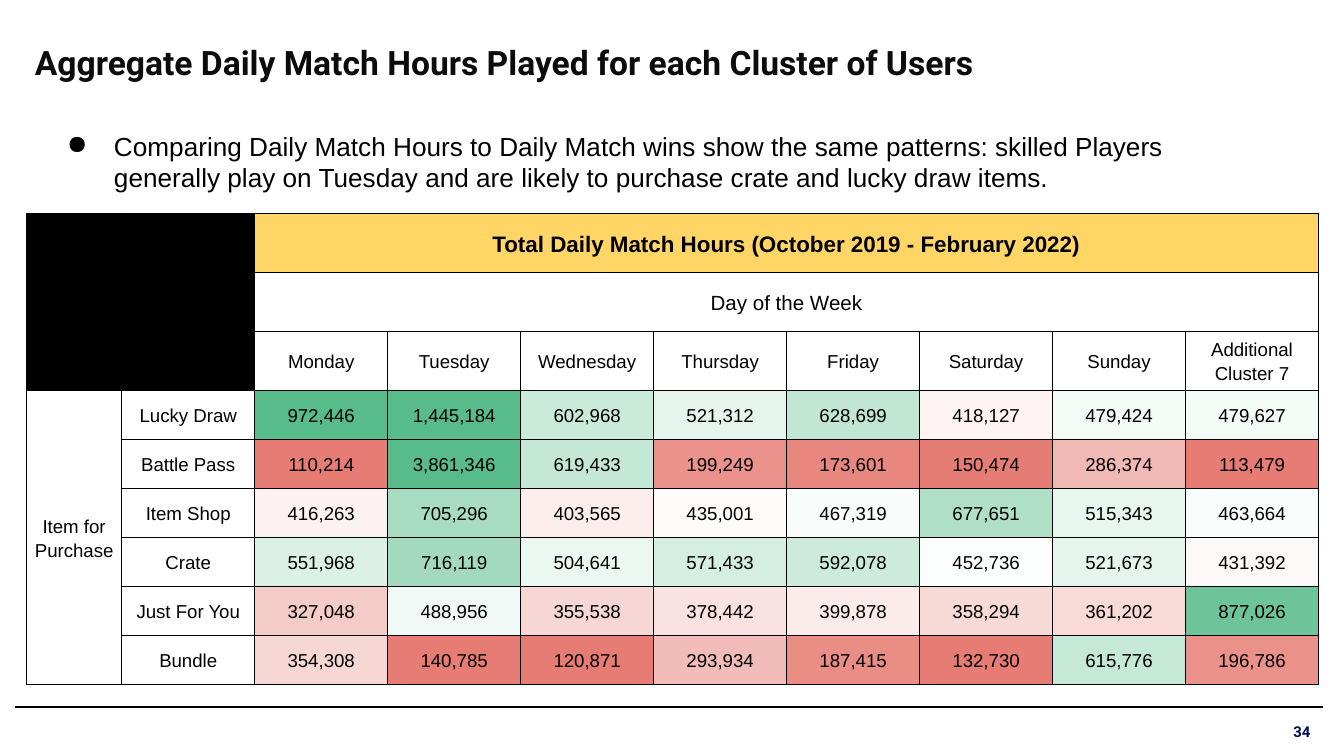
from dataclasses import dataclass
from math import floor

from lxml.etree import SubElement
from pptx import Presentation
from pptx.dml.color import RGBColor
from pptx.enum.shapes import MSO_CONNECTOR
from pptx.enum.text import MSO_ANCHOR, PP_ALIGN
from pptx.oxml.ns import qn
from pptx.util import Pt


@dataclass(frozen=True)
class Theme:
    heading_font: str = "Roboto"
    body_font: str = "Arial"
    ink: str = "000000"
    heading: str = "0C0C0C"
    page_number: str = "000D55"
    banner: str = "FFD666"
    low: str = "E67C73"
    middle: str = "FFFFFF"
    high: str = "57BB8A"
    title_size: float = 18
    bullet_size: float = 14
    banner_size: float = 12
    axis_size: float = 11
    cell_size: float = 10
    number_size: float = 8
    rule_width: float = 0.75


class HeatScale:
    def __init__(self, values, theme):
        self.ordered = sorted(values)
        self.stops = [
            (self.percentile(share), RGBColor.from_string(colour))
            for share, colour in ((0.1, theme.low), (0.5, theme.middle), (0.95, theme.high))
        ]

    def percentile(self, share):
        rank = share * (len(self.ordered) - 1)
        below = floor(rank)
        gap = self.ordered[below + 1] - self.ordered[below]
        return self.ordered[below] + (rank - below) * gap

    def colour(self, value):
        low, middle, high = self.stops
        (start, cold), (end, warm) = (low, middle) if value < middle[0] else (middle, high)
        share = min(max((value - start) / (end - start), 0), 1)
        return str(RGBColor(*(a + int((b - a) * share) for a, b in zip(cold, warm))))


class SlideBuilder:
    def __init__(self, slide, theme):
        self.slide = slide
        self.theme = theme

    def add_words(self, paragraph, words, size, colour, font, bold=False):
        run = paragraph.add_run()
        run.text = words
        run.font.size = Pt(size)
        run.font.name = font
        run.font.bold = bold
        run.font.color.rgb = RGBColor.from_string(colour)

    def text(self, box, insets, words, size, colour, font, bold=False,
             align=PP_ALIGN.LEFT, anchor=MSO_ANCHOR.TOP, bullet=None):
        frame = self.slide.shapes.add_textbox(*map(Pt, box)).text_frame
        frame.word_wrap = True
        frame.vertical_anchor = anchor
        frame.margin_left = frame.margin_right = Pt(insets[0])
        frame.margin_top = frame.margin_bottom = Pt(insets[1])
        paragraph = frame.paragraphs[0]
        paragraph.alignment = align
        if bullet:
            self.bullet(paragraph, bullet)
        self.add_words(paragraph, words, size, colour, font, bold)

    def bullet(self, paragraph, mark):
        properties = paragraph._p.get_or_add_pPr()
        properties.set("marL", str(Pt(36)))
        properties.set("indent", str(Pt(-25.2)))
        colour = SubElement(properties, qn("a:buClr"))
        SubElement(colour, qn("a:srgbClr"), val=self.theme.ink)
        SubElement(properties, qn("a:buChar"), char=mark)

    def rule(self, left, right, top):
        line = self.slide.shapes.add_connector(
            MSO_CONNECTOR.STRAIGHT, Pt(left), Pt(top), Pt(right), Pt(top))
        line.line.color.rgb = RGBColor.from_string(self.theme.ink)
        line.line.width = Pt(self.theme.rule_width)
        SubElement(line._element.spPr, qn("a:effectLst"))

    def table(self, left, top, widths, heights):
        table = self.slide.shapes.add_table(
            len(heights), len(widths), Pt(left), Pt(top),
            Pt(sum(widths)), Pt(sum(heights))).table
        table.first_row = table.horz_banding = False
        for column, width in zip(table.columns, widths):
            column.width = Pt(width)
        for row, height in zip(table.rows, heights):
            row.height = Pt(height)
        for cell in table.iter_cells():
            self.border(cell)
            cell.fill.background()
            cell.vertical_anchor = MSO_ANCHOR.MIDDLE
            cell.margin_left = cell.margin_right = Pt(2.16)
            cell.margin_top = cell.margin_bottom = Pt(1.44)
        return table

    def border(self, cell):
        properties = cell._tc.get_or_add_tcPr()
        for side in ("a:lnL", "a:lnR", "a:lnT", "a:lnB"):
            edge = SubElement(properties, qn(side), w=str(Pt(self.theme.rule_width)))
            SubElement(SubElement(edge, qn("a:solidFill")), qn("a:srgbClr"), val=self.theme.ink)

    def paint(self, cell, colour):
        cell.fill.solid()
        cell.fill.fore_color.rgb = RGBColor.from_string(colour)

    def label(self, cell, words, size=None, bold=False):
        paragraph = cell.text_frame.paragraphs[0]
        paragraph.alignment = PP_ALIGN.CENTER
        paragraph.line_spacing = 1.15
        self.add_words(paragraph, words, size or self.theme.cell_size,
                       self.theme.ink, self.theme.body_font, bold)


DAYS = ["Monday", "Tuesday", "Wednesday", "Thursday", "Friday", "Saturday", "Sunday",
        "Additional Cluster 7"]
HOURS = {
    "Lucky Draw": [972446, 1445184, 602968, 521312, 628699, 418127, 479424, 479627],
    "Battle Pass": [110214, 3861346, 619433, 199249, 173601, 150474, 286374, 113479],
    "Item Shop": [416263, 705296, 403565, 435001, 467319, 677651, 515343, 463664],
    "Crate": [551968, 716119, 504641, 571433, 592078, 452736, 521673, 431392],
    "Just For You": [327048, 488956, 355538, 378442, 399878, 358294, 361202, 877026],
    "Bundle": [354308, 140785, 120871, 293934, 187415, 132730, 615776, 196786],
}
HEADER_ROWS = 3
LABEL_COLUMNS = 2


def add_hours_table(builder):
    theme = builder.theme
    table = builder.table(
        14.2, 114.4,
        [51] + [71.25] * (len(DAYS) + 1),
        [31.6] * HEADER_ROWS + [26.25] * len(HOURS))
    last_row = len(table.rows) - 1
    last_column = len(table.columns) - 1

    for row in range(HEADER_ROWS):
        for column in range(LABEL_COLUMNS):
            builder.paint(table.cell(row, column), theme.ink)

    banner, axis = (table.cell(row, LABEL_COLUMNS) for row in range(2))
    for row, heading in enumerate((banner, axis)):
        heading.merge(table.cell(row, last_column))
    builder.paint(banner, theme.banner)
    builder.label(banner, "Total Daily Match Hours (October 2019 - February 2022)",
                  theme.banner_size, bold=True)
    builder.label(axis, "Day of the Week", theme.axis_size)
    for column, day in enumerate(DAYS, LABEL_COLUMNS):
        builder.label(table.cell(HEADER_ROWS - 1, column), day)

    items = table.cell(HEADER_ROWS, 0)
    items.merge(table.cell(last_row, 0))
    builder.label(items, "Item for Purchase")

    scale = HeatScale([hours for week in HOURS.values() for hours in week], theme)
    for row, (item, week) in enumerate(HOURS.items(), HEADER_ROWS):
        builder.label(table.cell(row, 1), item)
        for column, hours in enumerate(week, LABEL_COLUMNS):
            cell = table.cell(row, column)
            builder.paint(cell, scale.colour(hours))
            builder.label(cell, f"{hours:,}")


def main():
    deck = Presentation()
    deck.slide_width, deck.slide_height = Pt(720), Pt(405)
    theme = Theme()
    builder = SlideBuilder(deck.slides.add_slide(deck.slide_layouts[6]), theme)

    builder.rule(8, 708.5, 378.8)
    builder.text((13.7, 17.3, 654.5, 49.7), (5, 5),
                 "Aggregate Daily Match Hours Played for each Cluster of Users",
                 theme.title_size, theme.heading, theme.heading_font, bold=True)
    builder.text((668.2, 380.9, 38.9, 21.6), (5, 2.9), "34",
                 theme.number_size, theme.page_number, theme.heading_font, bold=True,
                 align=PP_ALIGN.RIGHT, anchor=MSO_ANCHOR.MIDDLE)
    builder.text((18, 62.6, 660.2, 48.2), (7.2, 7.2),
                 "Comparing Daily Match Hours to Daily Match wins show the same patterns: "
                 "skilled Players generally play on Tuesday and are likely to purchase "
                 "crate and lucky draw items.",
                 theme.bullet_size, theme.ink, theme.body_font, bullet="●")
    add_hours_table(builder)

    deck.save("out.pptx")


if __name__ == "__main__":
    main()
